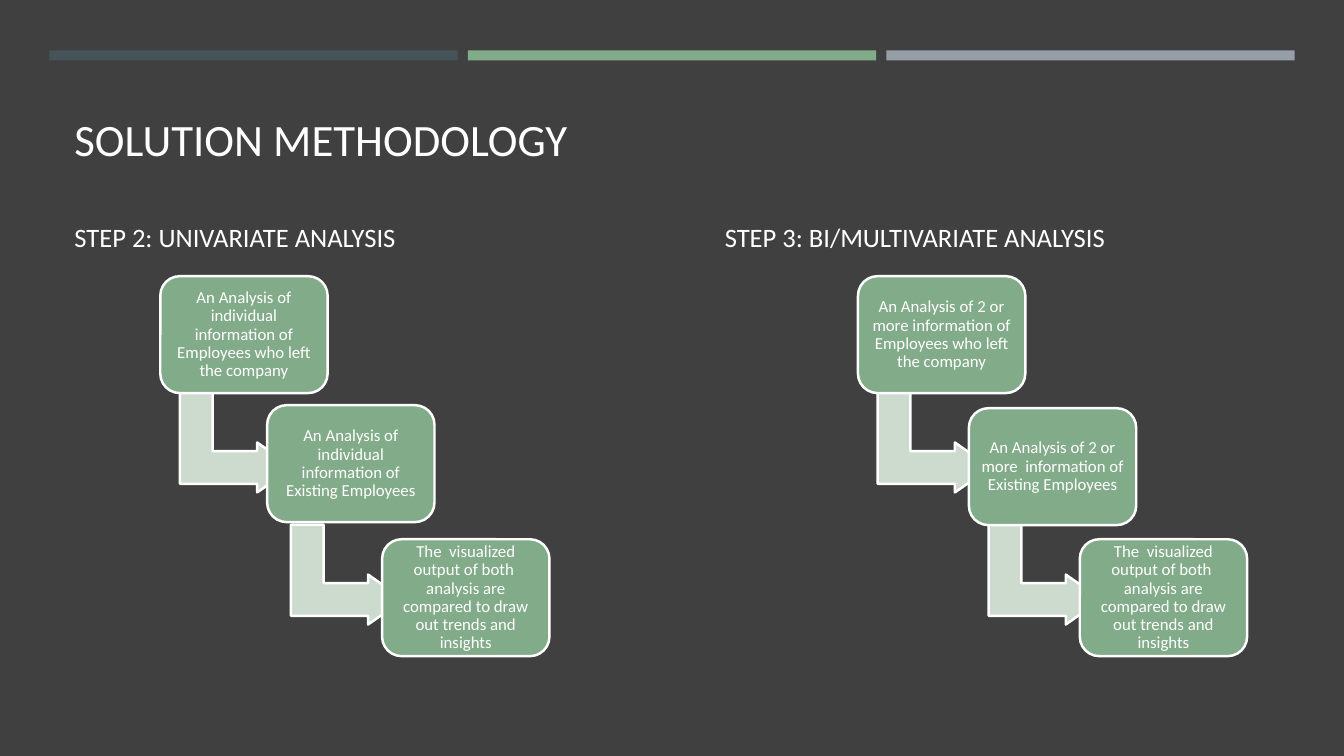
from pptx import Presentation
from pptx.dml.color import RGBColor
from pptx.enum import shapes, text
from pptx.util import Inches, Pt

DARK = RGBColor(0x40, 0x40, 0x40)
SLATE = RGBColor(0x46, 0x53, 0x59)
GREEN = RGBColor(0x82, 0xAC, 0x89)
GREY = RGBColor(0x96, 0x9F, 0xA7)
PALE = RGBColor(0xCD, 0xDB, 0xCF)
WHITE = RGBColor(0xFF, 0xFF, 0xFF)

SHAPE = shapes.MSO_SHAPE
BOX_W, BOX_H = 1.66, 1.16
ARROW_W, ARROW_H = 0.99, 1.12
STEP_X, STEP_Y = 1.1, 1.31

COMPARE = ("The  visualized output of both  analysis are compared "
           "to draw out trends and insights")
# heading, heading left, first box left, (dx, dy) of each box, box texts
FLOWS = [
    ("STEP 2: UNIVARIATE ANALYSIS", 0.64, 1.59,
     [(0, 0), (1.06, 1.28), (2.2, 2.61)],
     ["An Analysis of individual information of Employees who left the company",
      "An Analysis of individual information of Existing Employees",
      COMPARE]),
    ("STEP 3: BI/MULTIVARIATE ANALYSIS", 7.09, 8.51,
     [(0, 0), (1.1, 1.31), (2.2, 2.61)],
     ["An Analysis of 2 or more information of Employees who left the company",
      "An Analysis of 2 or more  information of Existing Employees",
      COMPARE]),
]


def add_shape(s, kind, x, y, w, h, fill, outline=False, adjust=()):
    sp = s.shapes.add_shape(kind, Inches(x), Inches(y), Inches(w), Inches(h))
    sp.shadow.inherit = False
    sp.fill.solid()
    sp.fill.fore_color.rgb = fill
    if outline:
        sp.line.color.rgb = WHITE
        sp.line.width = Pt(1.75)
    else:
        sp.line.fill.background()
    for i, value in enumerate(adjust):
        sp.adjustments[i] = value
    return sp


def write(sp, words, size, anchor, align=text.PP_ALIGN.LEFT, spacing=1.0):
    tf = sp.text_frame
    tf.word_wrap = True
    tf.vertical_anchor = anchor
    p = tf.paragraphs[0]
    p.alignment = align
    p.line_spacing = spacing
    r = p.add_run()
    r.text = words
    for name, value in {"name": "Calibri", "size": Pt(size)}.items():
        setattr(r.font, name, value)
    r.font.color.rgb = WHITE


def add_label(s, x, y, w, h, words, size, anchor):
    sp = s.shapes.add_textbox(Inches(x), Inches(y), Inches(w), Inches(h))
    write(sp, words, size, anchor)


def add_bars(s, x, y):
    for i, color in enumerate([SLATE, GREEN, GREY]):
        add_shape(s, SHAPE.RECTANGLE, x + i * 4.15, y, 4.05, 0.1, color)


def add_flow(s, x, y, offsets, words):
    for i, ((dx, dy), label) in enumerate(zip(offsets, words)):
        # Bent arrow to the next box, tucked behind it
        if i < len(words) - 1:
            arrow = add_shape(s, SHAPE.BENT_UP_ARROW,
                              x + 0.26 + i * STEP_X, y + 1.09 + i * STEP_Y,
                              ARROW_W, ARROW_H, PALE, True, (0.328, 0.25, 0.358))
            arrow.rotation = 90
        box = add_shape(s, SHAPE.ROUNDED_RECTANGLE, x + dx, y + dy,
                        BOX_W, BOX_H, GREEN, True, (0.167,))
        for side in ("left", "top", "right", "bottom"):
            setattr(box.text_frame, "margin_" + side, Inches(0.05))
        write(box, label, 12, text.MSO_ANCHOR.MIDDLE, text.PP_ALIGN.CENTER, 0.9)


def build_slide(prs):
    s = prs.slides.add_slide(prs.slide_layouts[6])
    s.background.fill.solid()
    s.background.fill.fore_color.rgb = DARK
    # Top bars and title
    add_bars(s, 0.49, 0.5)
    add_label(s, 0.64, 0.77, 12.06, 0.92, "SOLUTION METHODOLOGY", 32,
              text.MSO_ANCHOR.BOTTOM)
    # Headings with their step-down flows
    for heading, head_x, flow_x, offsets, words in FLOWS:
        add_label(s, head_x, 2.14, 5.6, 0.42, heading, 19, text.MSO_ANCHOR.MIDDLE)
        add_flow(s, flow_x, 2.74, offsets, words)


def main():
    prs = Presentation()
    prs.slide_width, prs.slide_height = Inches(13.33), Inches(7.5)
    build_slide(prs)
    prs.save("out.pptx")


if __name__ == "__main__":
    main()
